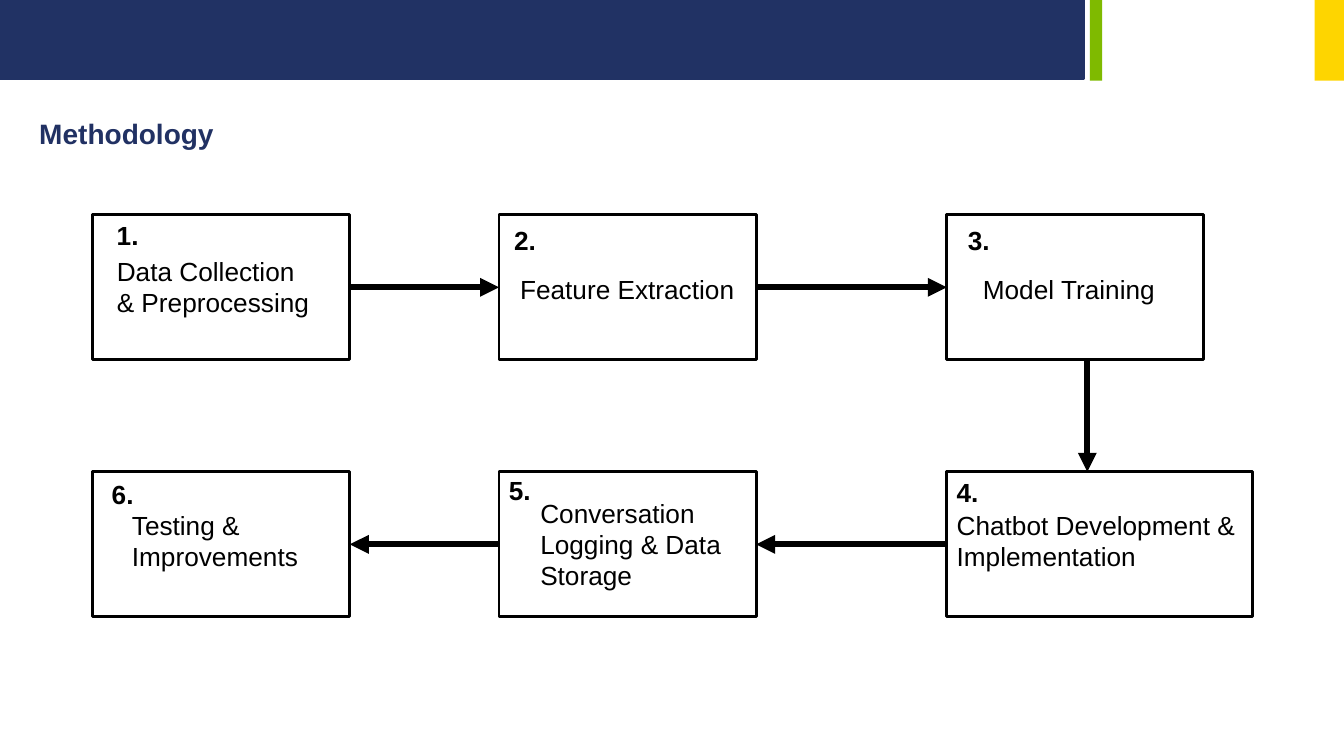
from dataclasses import dataclass

from pptx import Presentation
from pptx import util as u
from pptx.dml import color
from pptx.enum import shapes, text
from pptx.oxml import ns, xmlchemy


@dataclass(frozen=True)
class Theme:
    font: str = "Arial"
    navy: str = "213264"
    title: str = "213163"
    green: str = "7FBA00"
    yellow: str = "FED500"
    ink: str = "000000"
    title_size: float = 20
    body_size: float = 18.7
    outline: float = 2
    arrow: float = 4.5


@dataclass(frozen=True)
class Step:
    """A flow box; label and number offsets are measured from its corner."""
    column: int
    row: int
    label: str
    lines: int
    label_at: tuple
    label_width: float
    number_at: tuple
    width: float = 19.13

    @property
    def left(self):
        return COLUMNS[self.column]

    @property
    def top(self):
        return ROWS[self.row]

    @property
    def right(self):
        return self.left + self.width

    @property
    def center(self):
        return self.left + self.width / 2

    @property
    def middle(self):
        return self.top + BOX_HEIGHT / 2


# All lengths are percentages of the slide's width or height
COLUMNS = (6.9, 37.13, 70.44)
ROWS = (28.4, 62.4)
BOX_HEIGHT = 19.2
LINE_HEIGHT, TEXT_PADDING = 4.13, 1.47
NUMBER_WIDTH = 5.25

STEPS = (
    Step(0, 0, "Data Collection & Preprocessing", 2, (1.05, 4.67), 16.5, (1.05, 0)),
    Step(1, 0, "Feature Extraction", 1, (0.83, 7.07), 17.55, (0.38, 0.67)),
    Step(2, 0, "Model Training", 1, (1.95, 7.07), 15.23, (0.83, 0.67)),
    Step(2, 1, "Chatbot Development & Implementation", 2, (0, 4.27), 29.26, (0, 0), 22.73),
    Step(1, 1, "Conversation Logging & Data Storage", 3, (2.33, 2.67), 18.15, (0, -0.27)),
    Step(0, 1, "Testing & Improvements", 2, (2.18, 4.27), 18.53, (0.68, 0.27)),
)


class SlideBuilder:
    def __init__(self, presentation, theme):
        self.presentation = presentation
        self.theme = theme
        self.slide = presentation.slides.add_slide(presentation.slide_layouts[6])

    def x(self, share):
        return u.Emu(round(self.presentation.slide_width * share / 100))

    def y(self, share):
        return u.Emu(round(self.presentation.slide_height * share / 100))

    def frame(self, left, top, width, height):
        return self.x(left), self.y(top), self.x(width), self.y(height)

    def rectangle(self, left, top, width, height, fill=None, line=None):
        shape = self.slide.shapes.add_shape(
            shapes.MSO_SHAPE.RECTANGLE, *self.frame(left, top, width, height))
        shape.shadow.inherit = False
        if fill:
            shape.fill.solid()
            shape.fill.fore_color.rgb = color.RGBColor.from_string(fill)
        else:
            shape.fill.background()
        if line:
            shape.line.color.rgb = color.RGBColor.from_string(line)
            shape.line.width = u.Pt(self.theme.outline)
        else:
            shape.line.fill.background()

    def text(self, content, left, top, width, lines=1, size=None, ink=None, bold=False):
        height = lines * LINE_HEIGHT + TEXT_PADDING
        shape = self.slide.shapes.add_textbox(*self.frame(left, top, width, height))
        text_frame = shape.text_frame
        text_frame.word_wrap = True
        text_frame.auto_size = text.MSO_AUTO_SIZE.SHAPE_TO_FIT_TEXT
        text_frame.text = content
        font = text_frame.paragraphs[0].runs[0].font
        font.name = self.theme.font
        font.size = u.Pt(size or self.theme.body_size)
        font.bold = bold
        font.color.rgb = color.RGBColor.from_string(ink or self.theme.ink)

    def arrow(self, start, end):
        connector = self.slide.shapes.add_connector(
            shapes.MSO_CONNECTOR.STRAIGHT,
            self.x(start[0]), self.y(start[1]), self.x(end[0]), self.y(end[1]))
        connector.line.color.rgb = color.RGBColor.from_string(self.theme.ink)
        connector.line.width = u.Pt(self.theme.arrow)
        tail = xmlchemy.OxmlElement("a:tailEnd")
        tail.set("type", "triangle")
        properties = connector.element.spPr
        properties.find(ns.qn("a:ln")).append(tail)
        properties.append(xmlchemy.OxmlElement("a:effectLst"))

    def step(self, number, step):
        self.rectangle(step.left, step.top, step.width, BOX_HEIGHT, line=self.theme.ink)
        self.text(step.label, step.left + step.label_at[0], step.top + step.label_at[1],
                  step.label_width, step.lines)
        self.text(f"{number}.", step.left + step.number_at[0],
                  step.top + step.number_at[1], NUMBER_WIDTH, bold=True)

    def link(self, source, target):
        if source.column == target.column:
            x = (source.center + target.center) / 2
            self.arrow((x, source.top + BOX_HEIGHT), (x, target.top))
        elif source.column < target.column:
            self.arrow((source.right, source.middle), (target.left, target.middle))
        else:
            self.arrow((source.left, source.middle), (target.right, target.middle))


def main():
    presentation = Presentation()
    presentation.slide_width = u.Inches(13.33)
    presentation.slide_height = u.Inches(7.5)
    theme = Theme()
    builder = SlideBuilder(presentation, theme)

    # Header band
    builder.rectangle(0, 0, 80.65, 10.4, theme.navy, theme.navy)
    builder.rectangle(81.1, 0, 0.9, 10.67, theme.green)
    builder.rectangle(97.82, 0, 2.18, 10.67, theme.yellow)

    # Title
    builder.text("Methodology", 2.18, 14.8, 50, size=theme.title_size,
                 ink=theme.title, bold=True)

    # Process flow
    for number, step in enumerate(STEPS, start=1):
        builder.step(number, step)
    for source, target in zip(STEPS, STEPS[1:]):
        builder.link(source, target)

    presentation.save("out.pptx")


if __name__ == "__main__":
    main()
